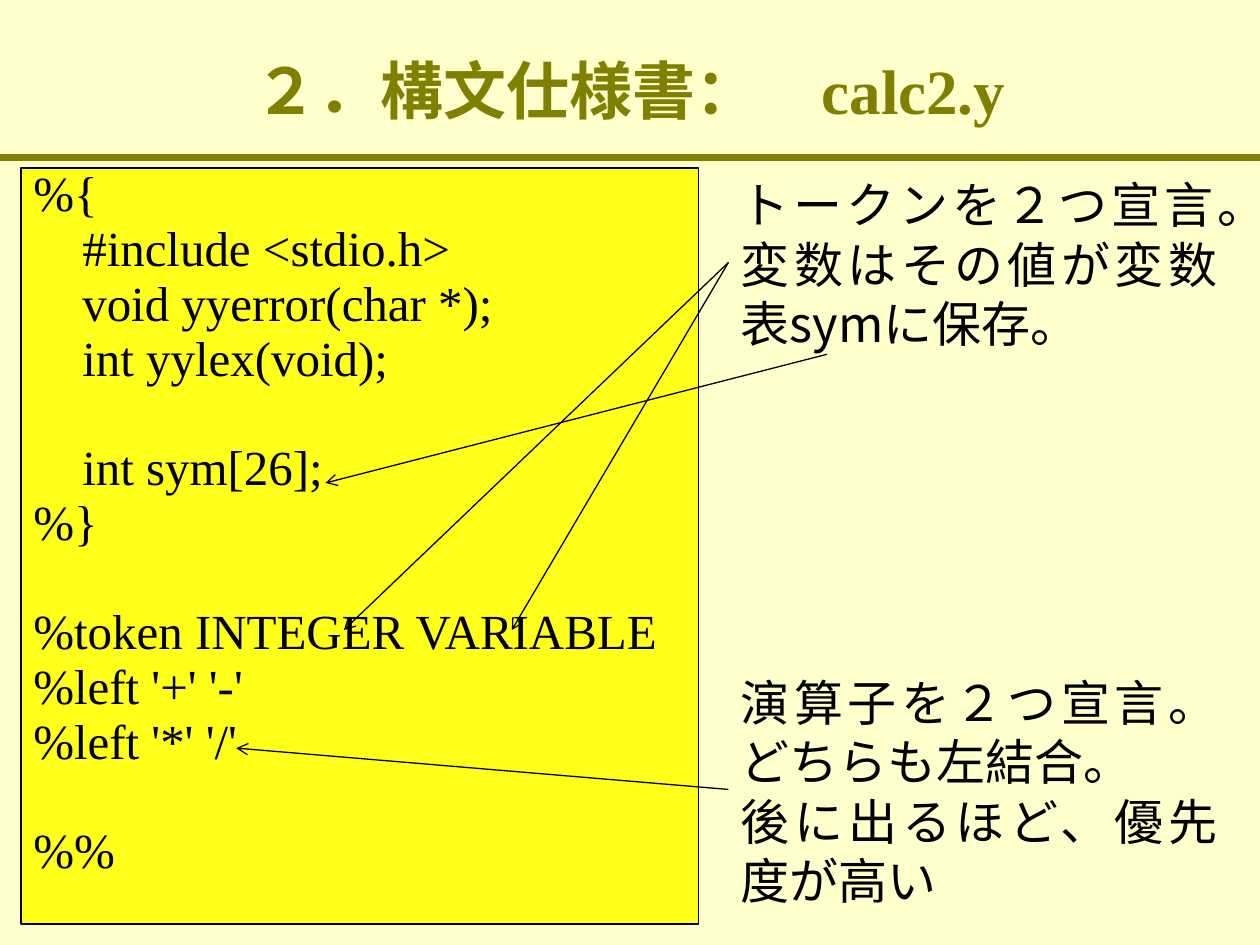
from lxml.etree import SubElement
from pptx import Presentation
from pptx.dml.color import RGBColor
from pptx.enum.shapes import MSO_CONNECTOR, MSO_SHAPE
from pptx.enum.text import MSO_ANCHOR, MSO_AUTO_SIZE, PP_ALIGN
from pptx.oxml.ns import qn
from pptx.util import Emu, Pt

SCALE = 9525
CODE = """%{
    #include <stdio.h>
    void yyerror(char *);
    int yylex(void);

    int sym[26];
%}

%token INTEGER VARIABLE
%left '+' '-'
%left '*' '/'

%%"""


def px(value):
    return Emu(value * SCALE)


def color(value):
    return RGBColor.from_string(value)


def apply(target, values):
    for name, value in values.items():
        setattr(target, name, value)


class SlideBuilder:
    ink = "000000"
    olive = "808000"
    paper = "FFFFCC"
    yellow = "FFFF1A"
    serif = "Times New Roman"
    sans = "Noto Sans CJK JP"

    def __init__(self, presentation):
        self.slide = presentation.slides.add_slide(presentation.slide_layouts[5])
        self.slide.background.fill.solid()
        self.slide.background.fill.fore_color.rgb = color(self.paper)

    def add_text(self, paragraph, text, hue, font, layout):
        apply(paragraph, layout)
        run = paragraph.add_run()
        run.text = text
        apply(run.font, font)
        run.font.color.rgb = color(hue)
        SubElement(run.font._element, qn("a:ea"), typeface=self.sans)

    def title(self, text, left, top, width, height):
        shape = self.slide.shapes.title
        apply(shape, {"left": px(left), "top": px(top),
                      "width": px(width), "height": px(height)})
        shape.text_frame.vertical_anchor = MSO_ANCHOR.MIDDLE
        font = {"name": self.serif, "size": Pt(36), "bold": True}
        self.add_text(shape.text_frame.paragraphs[0], text, self.olive, font,
                      {"alignment": PP_ALIGN.CENTER})

    def code(self, text, left, top, width, height):
        shape = self.slide.shapes.add_shape(
            MSO_SHAPE.RECTANGLE, px(left), px(top), px(width), px(height))
        shape.shadow.inherit = False
        shape.fill.solid()
        shape.fill.fore_color.rgb = color(self.yellow)
        shape.line.color.rgb = color(self.ink)
        shape.line.width = Pt(0.75)
        frame = shape.text_frame
        apply(frame, {"word_wrap": True, "vertical_anchor": MSO_ANCHOR.TOP,
                      "margin_top": px(8)})
        font = {"name": self.serif, "size": Pt(28)}
        paragraph = frame.paragraphs[0]
        for block_index, block in enumerate(text.split("\n\n")):
            for line_index, line in enumerate(block.split("\n")):
                layout = {"alignment": PP_ALIGN.JUSTIFY, "line_spacing": 0.7}
                if block_index or line_index:
                    paragraph = frame.add_paragraph()
                    layout["space_before"] = Pt(8 if line_index else 38.5)
                self.add_text(paragraph, line, self.ink, font, layout)

    def note(self, lines, left, top, width, height):
        shape = self.slide.shapes.add_textbox(
            px(left), px(top), px(width), px(height))
        frame = shape.text_frame
        apply(frame, {"word_wrap": True, "auto_size": MSO_AUTO_SIZE.NONE})
        font = {"name": self.sans, "size": Pt(28)}
        layout = {"alignment": PP_ALIGN.JUSTIFY, "line_spacing": Pt(34)}
        for index, line in enumerate(lines):
            paragraph = frame.add_paragraph() if index else frame.paragraphs[0]
            self.add_text(paragraph, line, self.ink, font, layout)
        return shape

    def line(self, start, end, hue, weight):
        connector = self.slide.shapes.add_connector(
            MSO_CONNECTOR.STRAIGHT, *map(px, start + end))
        connector.line.color.rgb = color(hue)
        connector.line.width = Pt(weight)
        SubElement(connector._element.spPr, qn("a:effectLst"))
        return connector

    def arrow(self, start, end, source=None):
        connector = self.line(start, end, self.ink, 0.75)
        outline = connector._element.spPr.find(qn("a:ln"))
        SubElement(outline, qn("a:tailEnd"), type="arrow")
        if source is not None:
            connector.begin_connect(source, 1)


def main():
    presentation = Presentation()
    apply(presentation, {"slide_width": px(960), "slide_height": px(720)})
    builder = SlideBuilder(presentation)
    builder.line((0, 120), (960, 120), builder.olive, 4.5)
    builder.title("２．構文仕様書：　calc2.y", 0, 8, 960, 120)
    builder.code(CODE, 16, 128, 516, 576)
    tokens = builder.note(
        ["トークンを２つ宣言。", "変数はその値が変数表symに保存。"], 555, 128, 382, 144)
    operators = builder.note(
        ["演算子を２つ宣言。どちらも左結合。", "後に出るほど、優先度が高い"],
        555, 507, 382, 189)
    for end in ((262, 480), (390, 480)):
        builder.arrow((555, 200), end, tokens)
    builder.arrow((630, 270), (248, 368))
    builder.arrow((555, 602), (180, 570), operators)
    presentation.save("out.pptx")


if __name__ == "__main__":
    main()
